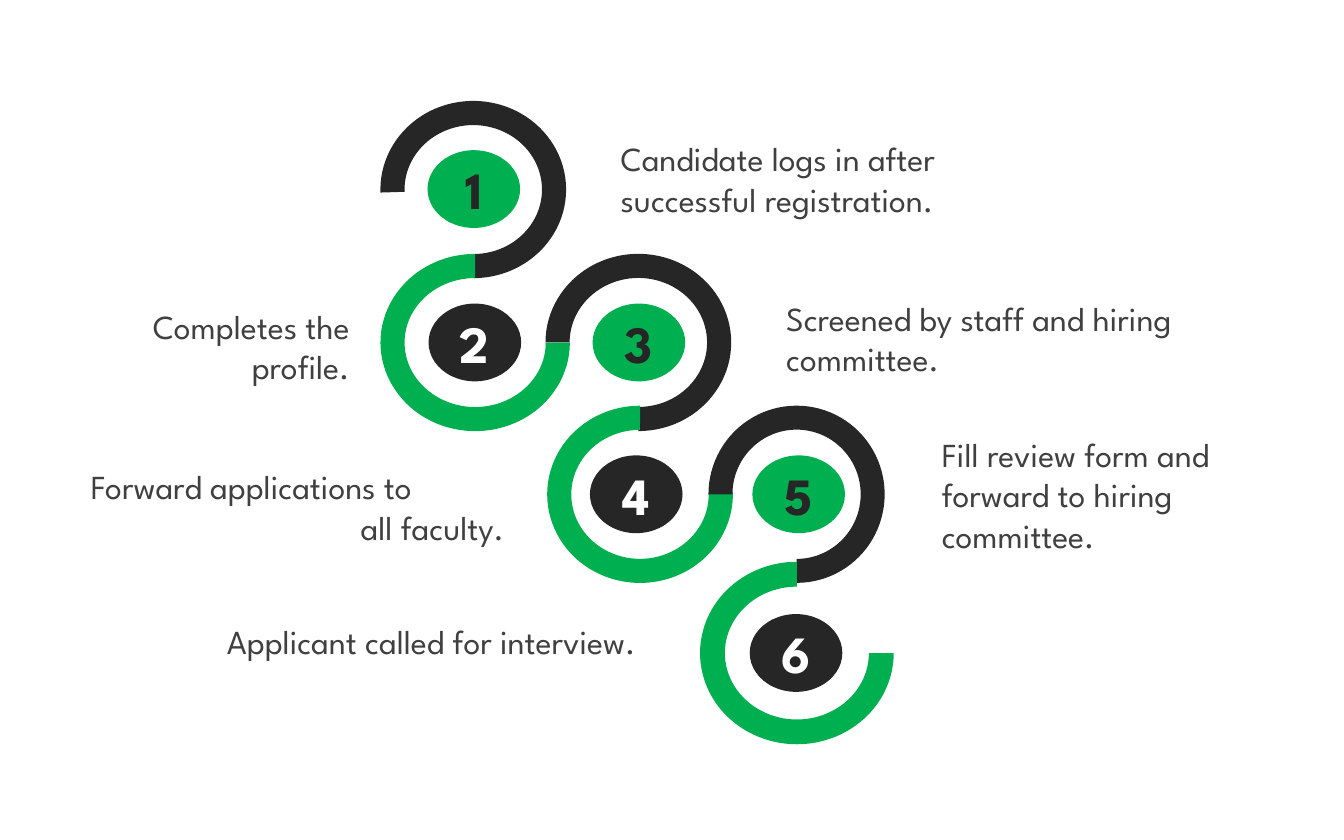
from dataclasses import dataclass

from pptx import Presentation
from pptx.dml.color import RGBColor
from pptx.enum.shapes import MSO_SHAPE
from pptx.enum.text import MSO_ANCHOR, PP_ALIGN
from pptx.util import Cm, Pt


@dataclass(frozen=True)
class Theme:
    font: str = "League Spartan"
    dark: RGBColor = RGBColor(0x26, 0x26, 0x26)
    green: RGBColor = RGBColor(0x00, 0xB0, 0x50)
    white: RGBColor = RGBColor(0xFF, 0xFF, 0xFF)
    text: RGBColor = RGBColor(0x40, 0x40, 0x40)
    number_size: Pt = Pt(28)
    caption_size: Pt = Pt(18)


THEME = Theme()
LEFT, RIGHT = PP_ALIGN.LEFT, PP_ALIGN.RIGHT
DISC_SIZE = (1.75, 1.47)

# Each step: arc box, arc start angle, disc corner, caption box, caption lines (cm, degrees)
STEPS = [
    ((7.19, 1.91, 3.51, 3.35), 178.14, (8.08, 2.84), (11.48, 2.49, 8.38, 1.78),
     [("Candidate logs in after successful registration.", LEFT)]),
    ((7.19, 4.8, 3.58, 3.35), 180, (8.1, 5.74), (1.09, 5.66, 5.77, 1.78),
     [("Completes the profile.", RIGHT)]),
    ((10.31, 4.8, 3.51, 3.35), 180, (11.2, 5.74), (14.61, 5.51, 7.82, 1.78),
     [("Screened by staff and hiring committee.", LEFT)]),
    ((10.34, 7.67, 3.51, 3.35), 178.68, (11.15, 8.61), (1.47, 8.69, 8.31, 1.78),
     [("Forward applications to", LEFT), ("all faculty.", RIGHT)]),
    ((13.39, 7.67, 3.33, 3.35), 180, (14.22, 8.61), (17.55, 8.08, 7.21, 2.54),
     [("Fill review form and forward to hiring committee.", LEFT)]),
    ((13.23, 10.62, 3.66, 3.45), 180, (14.17, 11.61), (3.99, 11.61, 8.28, 1.78),
     [("Applicant called for interview.", RIGHT)]),
]


def set_attributes(target, values):
    for name, value in values.items():
        setattr(target, name, value)


def format_paragraph(paragraph, text, alignment, color, **font_values):
    paragraph.text = text
    paragraph.alignment = alignment
    set_attributes(paragraph.font, {"name": THEME.font, **font_values})
    paragraph.font.color.rgb = color


def add_filled_shape(slide, kind, box, color):
    shape = slide.shapes.add_shape(kind, *map(Cm, box))
    shape.shadow.inherit = False
    shape.fill.solid()
    shape.fill.fore_color.rgb = color
    shape.line.fill.background()
    return shape


def add_arc(slide, box, start_angle, color, rotation):
    shape = add_filled_shape(slide, MSO_SHAPE.BLOCK_ARC, box, color)
    shape.rotation = rotation
    # Angles are stored in 60000ths of a degree, adjustments in 100000ths
    for index, value in enumerate((start_angle * 0.6, 90 * 0.6, 0.136)):
        shape.adjustments[index] = value


def add_disc(slide, corner, number, fill_color, text_color):
    shape = add_filled_shape(slide, MSO_SHAPE.OVAL, corner + DISC_SIZE, fill_color)
    shape.text_frame.vertical_anchor = MSO_ANCHOR.MIDDLE
    format_paragraph(shape.text_frame.paragraphs[0], str(number), PP_ALIGN.CENTER,
                     text_color, size=THEME.number_size, bold=True)


def add_caption(slide, box, lines):
    text_frame = slide.shapes.add_textbox(*map(Cm, box)).text_frame
    text_frame.word_wrap = True
    for index, (text, alignment) in enumerate(lines):
        paragraph = text_frame.add_paragraph() if index else text_frame.paragraphs[0]
        format_paragraph(paragraph, text, alignment, THEME.text, size=THEME.caption_size)


def main():
    presentation = Presentation()
    set_attributes(presentation, {"slide_width": Cm(25.4), "slide_height": Cm(15.88)})
    slide = presentation.slides.add_slide(presentation.slide_layouts[6])

    # Winding path: odd steps arch over in dark, even steps hang below in green
    for number, (arc_box, start_angle, *_) in enumerate(STEPS, 1):
        color, rotation = (THEME.dark, 0) if number % 2 else (THEME.green, 180)
        add_arc(slide, arc_box, start_angle, color, rotation)

    # Numbered discs and captions
    for number, (_, _, corner, caption_box, lines) in enumerate(STEPS, 1):
        colors = (THEME.green, THEME.dark) if number % 2 else (THEME.dark, THEME.white)
        add_disc(slide, corner, number, *colors)
        add_caption(slide, caption_box, lines)

    presentation.save("out.pptx")


if __name__ == "__main__":
    main()
